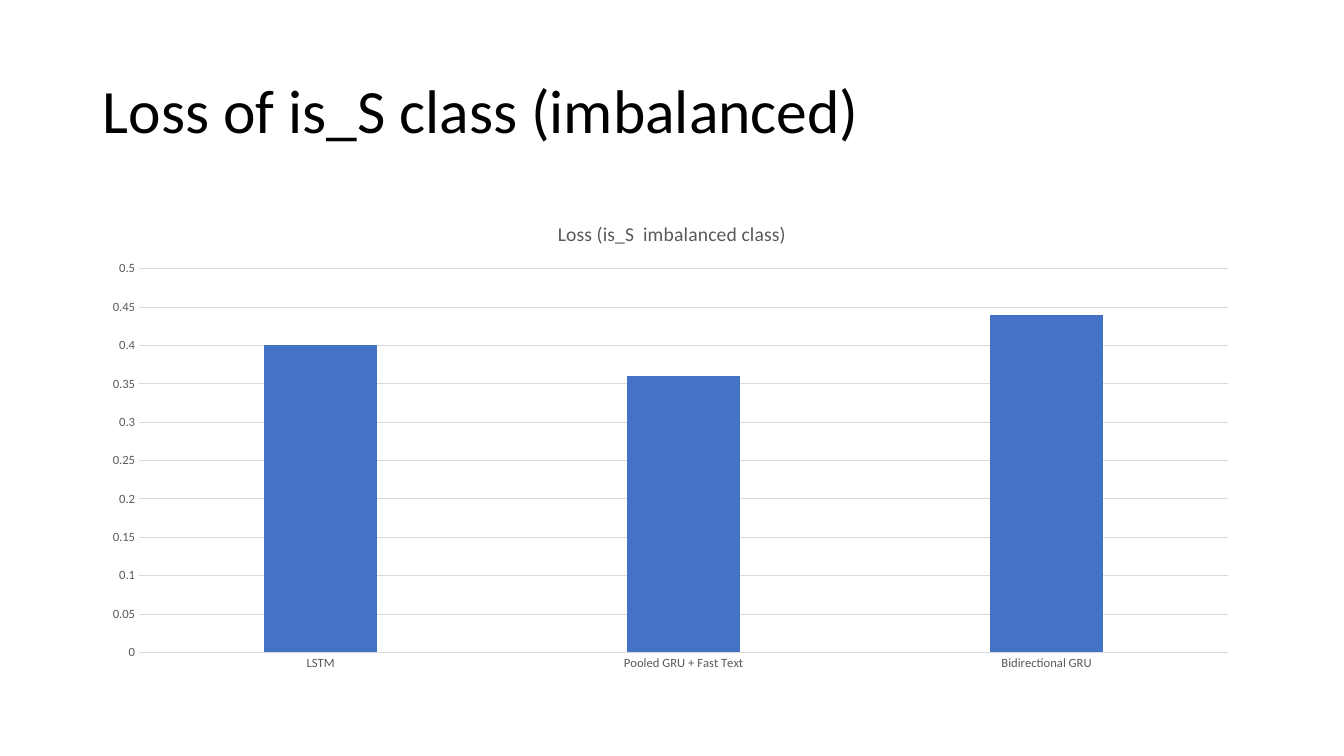
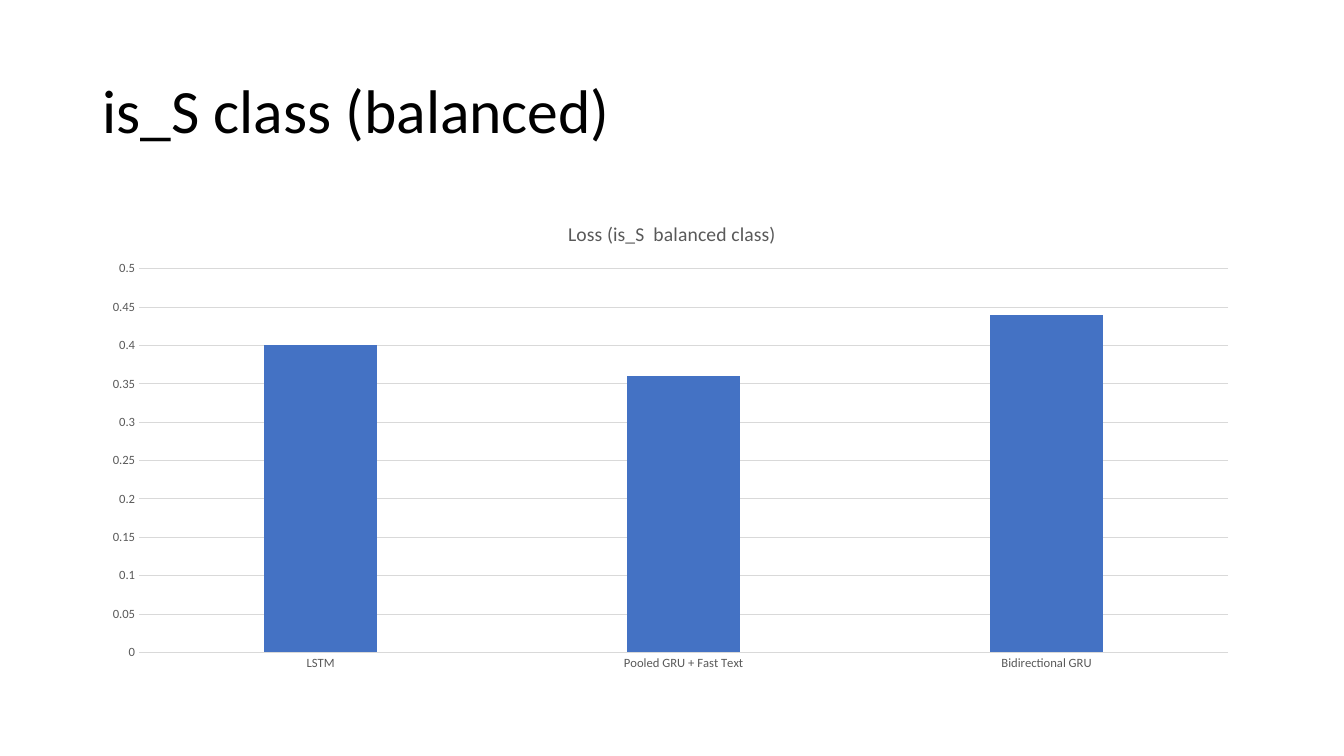
from lxml.etree import SubElement
from pptx import Presentation
from pptx.chart.data import CategoryChartData
from pptx.dml.color import RGBColor
from pptx.enum.chart import XL_CHART_TYPE, XL_TICK_MARK
from pptx.enum.text import MSO_ANCHOR
from pptx.oxml.ns import qn
from pptx.util import Inches, Pt

WIDTH, HEIGHT = 13.33, 7.5
MARGIN = 0.92
SPAN = WIDTH - 2 * MARGIN
TITLE = (MARGIN, 0.4, SPAN, 1.45)
CHART = (MARGIN, 2, SPAN, 4.76)
FONT = "Calibri"
BLACK, GRAY, RULE, BLUE = "000000", "595959", "D9D9D9", "4472C4"

LOSSES = {"LSTM": 0.4, "Pooled GRU + Fast Text": 0.36, "Bidirectional GRU": 0.44}
SLIDES = (
    ("Loss of is_S class (imbalanced)", "Loss (is_S  imbalanced class)"),
    ("is_S class (balanced)", "Loss (is_S  balanced class)"),
)


def color(code):
    return RGBColor.from_string(code)


def style(font, size, code):
    font.name, font.size, font.bold = FONT, Pt(size), False
    font.color.rgb = color(code)


def rule(line):
    line.color.rgb = color(RULE)
    line.width = Pt(0.75)


def add_title(slide, box, text):
    frame = slide.shapes.add_textbox(*map(Inches, box)).text_frame
    frame.word_wrap = True
    frame.vertical_anchor = MSO_ANCHOR.MIDDLE
    para = frame.paragraphs[0]
    para.text = text
    para.line_spacing = 0.9
    style(para.font, 44, BLACK)


def fix_plot(chart, x, y, w, h):
    """Place the inner plot area at shares of the chart's box."""
    area = chart.plots[0]._element.getparent()
    layout = area.find(qn("c:layout"))
    if layout is None:
        layout = SubElement(area, qn("c:layout"))
        area.insert(0, layout)
    manual = SubElement(layout, qn("c:manualLayout"))
    parts = dict(layoutTarget="inner", xMode="edge", yMode="edge", x=x, y=y, w=w, h=h)
    for name, value in parts.items():
        SubElement(manual, qn("c:" + name)).set("val", str(value))


def style_axes(chart):
    cats, vals = chart.category_axis, chart.value_axis
    for axis in (cats, vals):
        axis.major_tick_mark = axis.minor_tick_mark = XL_TICK_MARK.NONE
        style(axis.tick_labels.font, 9, GRAY)
    rule(cats.format.line)
    vals.format.line.fill.background()
    vals.minimum_scale, vals.maximum_scale, vals.major_unit = 0, 0.5, 0.05
    rule(vals.major_gridlines.format.line)


def add_bars(slide, box, title):
    data = CategoryChartData()
    data.categories = list(LOSSES)
    data.add_series("Series 1", list(LOSSES.values()))
    chart = slide.shapes.add_chart(
        XL_CHART_TYPE.COLUMN_CLUSTERED, *map(Inches, box), data).chart
    style(chart.font, 10, BLACK)
    chart.has_legend = False
    chart.has_title = True
    head = chart.chart_title.text_frame.paragraphs[0]
    head.text = title
    style(head.font, 14, GRAY)
    style_axes(chart)
    plot = chart.plots[0]
    plot.vary_by_categories = False
    plot.gap_width, plot.overlap = 219, -27
    fill = plot.series[0].format.fill
    fill.solid()
    fill.fore_color.rgb = color(BLUE)
    fix_plot(chart, 0.04, 0.14, 0.94, 0.8)


def main():
    deck = Presentation()
    deck.slide_width, deck.slide_height = Inches(WIDTH), Inches(HEIGHT)
    for title, caption in SLIDES:
        slide = deck.slides.add_slide(deck.slide_layouts[6])
        add_title(slide, TITLE, title)
        add_bars(slide, CHART, caption)
    deck.save("out.pptx")


if __name__ == "__main__":
    main()
